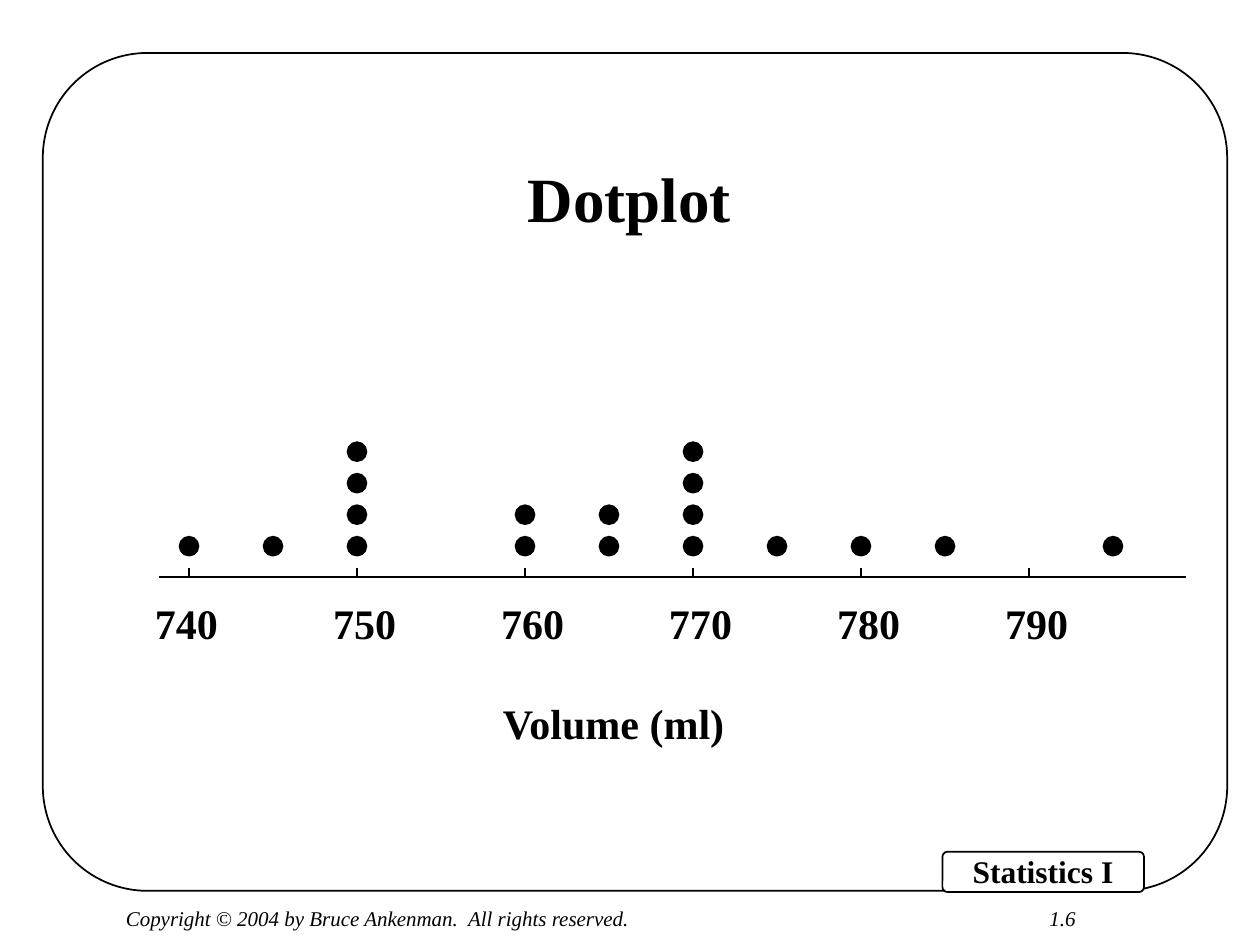
import pptx
import pptx.util
import pptx.dml.color
import pptx.enum.shapes
import pptx.enum.text
import pptx.oxml.ns
import lxml.etree

Inches = pptx.util.Inches
Pt = pptx.util.Pt
Shape = pptx.enum.shapes.MSO_SHAPE
Align = pptx.enum.text.PP_ALIGN
Anchor = pptx.enum.text.MSO_ANCHOR

BLACK = pptx.dml.color.RGBColor(0, 0, 0)
WHITE = pptx.dml.color.RGBColor(255, 255, 255)
FONT = "Times New Roman"

TITLE = "Dotplot"
AXIS_TITLE = "Volume (ml)"
COURSE = "Statistics I"
COPYRIGHT = "Copyright © 2004 by Bruce Ankenman.  All rights reserved."
PAGE = "1.6"
DOT_COUNTS = {740: 1, 745: 1, 750: 4, 760: 2, 765: 2, 770: 4,
              775: 1, 780: 1, 785: 1, 795: 1}
TICKS = range(740, 800, 10)
LABEL_SHIFTS = {740: -0.02}
LABEL_SHIFT = 0.06

AXIS_Y = 4.58
AXIS_LEFT, AXIS_RIGHT = 1.26, 9.41
TICK_HEIGHT = 0.07
DOT_SIZE = 0.15
DOT_STEP = 0.25
FIRST_DOT_Y = 4.26
LABEL_WIDTH = 0.8


def volume_x(volume):
    return 1.5 + (volume - 740) * 4 / 30


def add_text(slide, text, left, top, width, height, size=24, bold=False,
             italic=False, align=Align.LEFT, anchor=Anchor.TOP,
             wrap=False, spacing=1.0):
    box = slide.shapes.add_textbox(
        Inches(left), Inches(top), Inches(width), Inches(height))
    frame = box.text_frame
    frame.word_wrap = wrap
    frame.vertical_anchor = anchor
    paragraph = frame.paragraphs[0]
    paragraph.alignment = align
    paragraph.line_spacing = spacing
    run = paragraph.add_run()
    run.text = text
    run.font.name = FONT
    run.font.size = Pt(size)
    run.font.bold = bold
    run.font.italic = italic
    run.font.color.rgb = BLACK


def add_outlined(slide, kind, left, top, width, height, fill):
    shape = slide.shapes.add_shape(
        kind, Inches(left), Inches(top), Inches(width), Inches(height))
    shape.shadow.inherit = False
    shape.fill.solid()
    shape.fill.fore_color.rgb = fill
    shape.line.color.rgb = BLACK
    shape.line.width = Pt(1)
    return shape


def add_line(slide, x1, y1, x2, y2):
    line = slide.shapes.add_connector(
        pptx.enum.shapes.MSO_CONNECTOR.STRAIGHT,
        Inches(x1), Inches(y1), Inches(x2), Inches(y2))
    line.line.color.rgb = BLACK
    line.line.width = Pt(1)
    lxml.etree.SubElement(line._element.spPr, pptx.oxml.ns.qn("a:effectLst"))


def add_frame(slide):
    for bounds in ((0.34, 0.42, 9.4, 6.65), (7.48, 6.76, 1.6, 0.32)):
        panel = add_outlined(slide, Shape.ROUNDED_RECTANGLE, *bounds, WHITE)
        panel.adjustments[0] = 0.125
    add_text(slide, COURSE, 7.62, 6.71, 1.32, 0.4, size=18, bold=True)
    add_text(slide, COPYRIGHT, 0.9, 7.14, 4.22, 0.3, size=12, italic=True)
    add_text(slide, PAGE, 8.23, 7.14, 0.52, 0.3, size=12, italic=True)
    add_text(slide, TITLE, 1.08, 0.67, 7.83, 1.25, size=36, bold=True,
             align=Align.CENTER, anchor=Anchor.BOTTOM, wrap=True, spacing=0.9)


def add_dotplot(slide):
    for volume, count in DOT_COUNTS.items():
        for level in range(count):
            add_outlined(slide, Shape.OVAL, volume_x(volume) - DOT_SIZE / 2,
                         FIRST_DOT_Y - level * DOT_STEP,
                         DOT_SIZE, DOT_SIZE, BLACK)
    add_line(slide, AXIS_LEFT, AXIS_Y, AXIS_RIGHT, AXIS_Y)
    for volume in TICKS:
        x = volume_x(volume)
        add_line(slide, x, AXIS_Y - TICK_HEIGHT, x, AXIS_Y)
        center = x + LABEL_SHIFTS.get(volume, LABEL_SHIFT)
        add_text(slide, str(volume), center - LABEL_WIDTH / 2, 4.69,
                 LABEL_WIDTH, 0.48, bold=True, align=Align.CENTER, wrap=True)
    add_text(slide, AXIS_TITLE, 3.67, 5.49, 2.4, 0.48, bold=True,
             align=Align.CENTER, wrap=True)


def main():
    deck = pptx.Presentation()
    deck.slide_width = Inches(10)
    deck.slide_height = Inches(7.5)
    slide = deck.slides.add_slide(deck.slide_layouts[6])
    add_frame(slide)
    add_dotplot(slide)
    deck.save("out.pptx")


if __name__ == "__main__":
    main()
